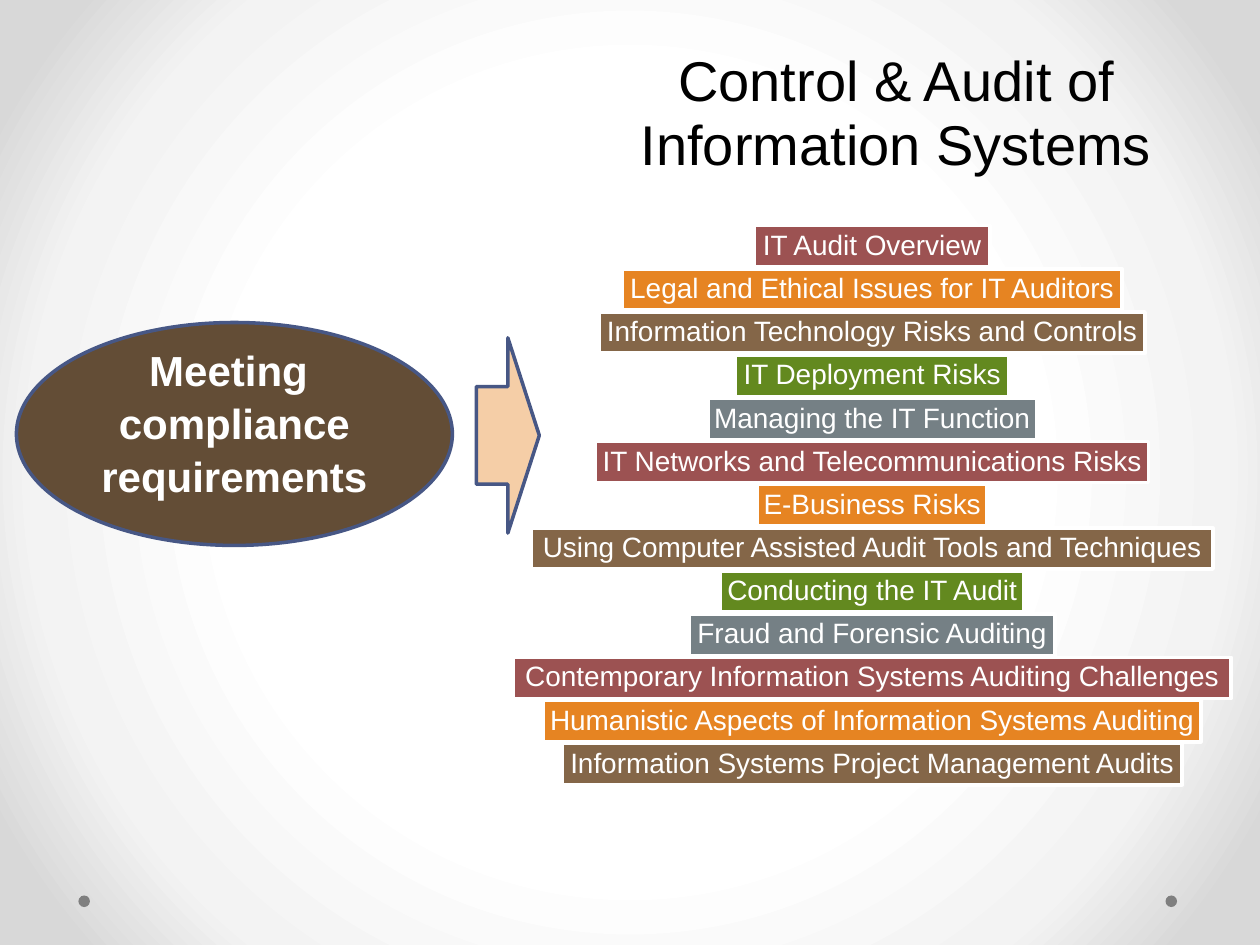
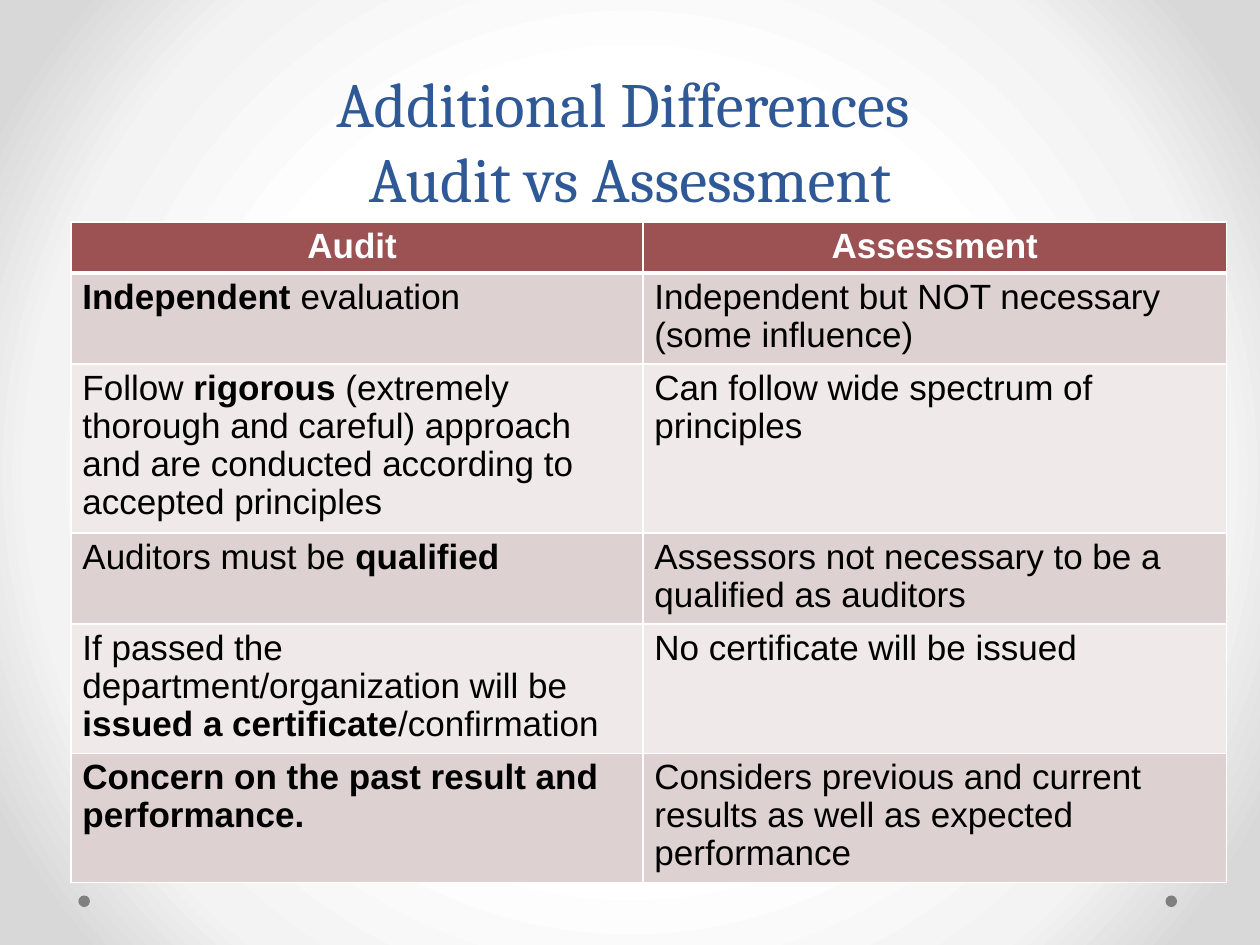
from dataclasses import dataclass
from typing import NamedTuple

from pptx import Presentation
from pptx.dml.color import RGBColor
from pptx.enum.shapes import MSO_SHAPE
from pptx.enum.text import MSO_ANCHOR, MSO_AUTO_SIZE, PP_ALIGN
from pptx.oxml import parse_xml
from pptx.oxml.ns import nsdecls
from pptx.util import Pt

CENTER, LEFT = PP_ALIGN.CENTER, PP_ALIGN.LEFT
MIDDLE, BOTTOM = MSO_ANCHOR.MIDDLE, MSO_ANCHOR.BOTTOM
ELLIPSE, RECTANGLE = MSO_SHAPE.OVAL, MSO_SHAPE.RECTANGLE
RIGHT_ARROW = MSO_SHAPE.RIGHT_ARROW
TITLE_ONLY = 5


@dataclass(frozen=True)
class Theme:
    sans: str = "Arial"
    serif: str = "Cambria"
    black: RGBColor = RGBColor(0x00, 0x00, 0x00)
    white: RGBColor = RGBColor(0xFF, 0xFF, 0xFF)
    blue: RGBColor = RGBColor(0x2F, 0x58, 0x97)
    outline: RGBColor = RGBColor(0x47, 0x57, 0x85)
    dot: RGBColor = RGBColor(0x7F, 0x7F, 0x7F)
    goal: RGBColor = RGBColor(0x63, 0x4D, 0x36)
    arrow: RGBColor = RGBColor(0xF5, 0xCE, 0xA7)
    red: RGBColor = RGBColor(0x9C, 0x52, 0x52)
    orange: RGBColor = RGBColor(0xE6, 0x84, 0x22)
    brown: RGBColor = RGBColor(0x84, 0x66, 0x48)
    green: RGBColor = RGBColor(0x63, 0x89, 0x1F)
    grey: RGBColor = RGBColor(0x75, 0x80, 0x85)
    dark_band: RGBColor = RGBColor(0xDE, 0xD1, 0xD1)
    light_band: RGBColor = RGBColor(0xEF, 0xE9, 0xE9)
    topic_size: float = 16
    table_size: float = 20
    goal_size: float = 24
    overview_title_size: float = 32
    title_size: float = 36


THEME = Theme()
TOPIC_COLORS = (THEME.red, THEME.orange, THEME.brown, THEME.green, THEME.grey)
BACKGROUND_STOPS = ((0, "FFFFFF"), (50, "FFFFFF"), (76, "F3F3F3"),
                    (92, "D8D8D8"), (100, "D8D8D8"))


class Box(NamedTuple):
    left: float
    top: float
    width: float
    height: float


class Style(NamedTuple):
    font: str
    size: float
    color: RGBColor
    bold: bool = False
    align: PP_ALIGN = CENTER
    spacing: float = 1.0


class Topic(NamedTuple):
    text: str
    width: float


class Comparison(NamedTuple):
    audit: str
    assessment: str
    height: float


TOPICS = (
    Topic("IT Audit Overview", 134.6),
    Topic("Legal and Ethical Issues for IT Auditors", 285.8),
    Topic("Information Technology Risks and Controls", 311.8),
    Topic("IT Deployment Risks", 156.2),
    Topic("Managing the IT Function", 187.9),
    Topic("IT Networks and Telecommunications Risks", 316.1),
    Topic("E-Business Risks", 131),
    Topic("Using Computer Assisted Audit Tools and Techniques", 389.5),
    Topic("Conducting the IT Audit", 173.5),
    Topic("Fraud and Forensic Auditing", 208.8),
    Topic("Contemporary Information Systems Auditing Challenges", 410.4),
    Topic("Humanistic Aspects of Information Systems Auditing", 375.8),
    Topic("Information Systems Project Management Audits", 354.2),
)
TOPIC_CENTER, TOPIC_TOP, TOPIC_PITCH, TOPIC_HEIGHT = 498.4, 128.9, 24.67, 23.6

# Text between double asterisks is bold.
COMPARISONS = (
    Comparison("**Audit **", "**Assessment**", 29.2),
    Comparison("**Independent** evaluation",
               "Independent but NOT necessary (some influence)", 52),
    Comparison("Follow **rigorous** (extremely thorough and careful) approach "
               "and are conducted according to accepted principles",
               "Can follow wide spectrum of principles ", 96.5),
    Comparison("Auditors must be **qualified**",
               "Assessors not necessary to be a qualified as auditors", 52),
    Comparison("If passed the department/organization will be "
               "**issued a certificate**/confirmation",
               "No certificate will be issued", 74),
    Comparison("**Concern on the past result and performance.**",
               "Considers previous and current results as well as expected "
               "performance", 74),
)
COLUMN_WIDTHS = (326.9, 333.4)


def place(shape, box: Box) -> None:
    shape.left, shape.top, shape.width, shape.height = map(Pt, box)


def format_paragraph(paragraph, style: Style) -> None:
    paragraph.alignment = style.align
    paragraph.line_spacing = style.spacing
    for run in paragraph.runs:
        run.font.name = style.font
        run.font.size = Pt(style.size)
        run.font.color.rgb = style.color
        run.font.bold = style.bold


def set_margins(frame, left: float, top: float, right: float, bottom: float) -> None:
    frame.margin_left, frame.margin_top = Pt(left), Pt(top)
    frame.margin_right, frame.margin_bottom = Pt(right), Pt(bottom)


def add_filled(slide, kind: MSO_SHAPE, box: Box, fill: RGBColor,
               line: RGBColor | None = None):
    shape = slide.shapes.add_shape(kind, *map(Pt, box))
    shape.shadow.inherit = False
    shape.fill.solid()
    shape.fill.fore_color.rgb = fill
    if line is None:
        shape.line.fill.background()
    else:
        shape.line.color.rgb = line
        shape.line.width = Pt(2)
    return shape


def set_title(slide, text: str, box: Box, style: Style, anchor: MSO_ANCHOR,
              margins: tuple[float, float, float, float]) -> None:
    title = slide.shapes.title
    place(title, box)
    frame = title.text_frame
    frame.auto_size = MSO_AUTO_SIZE.NONE
    frame.word_wrap = True
    frame.vertical_anchor = anchor
    set_margins(frame, *margins)
    frame.paragraphs[0].text = text
    format_paragraph(frame.paragraphs[0], style)


def set_master_background(master) -> None:
    """Give every slide the radial white-to-grey gradient."""
    master.background.fill.solid()
    stops = "".join(
        f'<a:gs pos="{position * 1000}"><a:srgbClr val="{color}"/></a:gs>'
        for position, color in BACKGROUND_STOPS)
    gradient = parse_xml(
        f'<a:gradFill {nsdecls("a")} rotWithShape="1"><a:gsLst>{stops}</a:gsLst>'
        '<a:path path="circle">'
        '<a:fillToRect l="50000" t="50000" r="50000" b="50000"/>'
        '</a:path></a:gradFill>')
    plain = master.element.xpath("./p:cSld/p:bg/p:bgPr/a:solidFill")[0]
    plain.getparent().replace(plain, gradient)


def add_master_dots(master, slide) -> None:
    """Draw the footer dots on a slide, then move them to the master."""
    for number, left in enumerate((44.8, 666)):
        dot = add_filled(slide, ELLIPSE, Box(left, 511.7, 6.6, 6.6), THEME.dot)
        dot.element.nvSpPr.cNvPr.id = 100 + number
        master.element.cSld.spTree.append(dot.element)


def build_overview(slide) -> None:
    set_title(slide, "Control & Audit of Information Systems",
              Box(342.7, 9.4, 324, 111.6),
              Style(THEME.sans, THEME.overview_title_size, THEME.black, spacing=0.96),
              MIDDLE, (18, 3, 3, 3))

    goal = add_filled(slide, ELLIPSE, Box(9.4, 184.3, 249.1, 127.4),
                      THEME.goal, THEME.outline)
    frame = goal.text_frame
    frame.word_wrap = True
    frame.vertical_anchor = MIDDLE
    set_margins(frame, 7.2, 3.6, 7.2, 18)
    frame.text = "Meeting \ncompliance requirements"
    for paragraph in frame.paragraphs:
        format_paragraph(paragraph, Style(THEME.sans, THEME.goal_size, THEME.white,
                                          bold=True, spacing=1.05))

    add_filled(slide, RIGHT_ARROW, Box(272.2, 193, 36, 111.6),
               THEME.arrow, THEME.outline)

    topic_style = Style(THEME.sans, THEME.topic_size, THEME.white, spacing=0.9)
    for index, topic in enumerate(TOPICS):
        box = Box(TOPIC_CENTER - topic.width / 2, TOPIC_TOP + index * TOPIC_PITCH,
                  topic.width, TOPIC_HEIGHT)
        bar = add_filled(slide, RECTANGLE, box,
                         TOPIC_COLORS[index % len(TOPIC_COLORS)], THEME.white)
        frame = bar.text_frame
        frame.word_wrap = False
        frame.vertical_anchor = MIDDLE
        set_margins(frame, 3, 3, 3, 3)
        frame.text = topic.text
        format_paragraph(frame.paragraphs[0], topic_style)


def add_borders(cell, top: float, bottom: float) -> None:
    properties = cell._tc.get_or_add_tcPr()
    for side, width in (("L", 1), ("R", 1), ("T", top), ("B", bottom)):
        properties.append(parse_xml(
            f'<a:ln{side} {nsdecls("a")} w="{Pt(width)}"><a:solidFill>'
            f'<a:srgbClr val="{THEME.white}"/></a:solidFill></a:ln{side}>'))


def fill_cell(cell, text: str, row: int) -> None:
    is_header = row == 0
    add_borders(cell, top=3 if row == 1 else 1, bottom=3 if is_header else 1)
    cell.fill.solid()
    band = THEME.dark_band if row % 2 else THEME.light_band
    cell.fill.fore_color.rgb = THEME.red if is_header else band
    set_margins(cell, 6.5, 3.6, 6.5, 3.6)
    paragraph = cell.text_frame.paragraphs[0]
    bold_runs = []
    for index, part in enumerate(text.split("**")):
        if part:
            run = paragraph.add_run()
            run.text = part
            if index % 2:
                bold_runs.append(run)
    format_paragraph(paragraph, Style(
        THEME.sans, THEME.table_size, THEME.white if is_header else THEME.black,
        align=CENTER if is_header else LEFT, spacing=0.97))
    for run in bold_runs:
        run.font.bold = True


def build_comparison(slide) -> None:
    set_title(slide, "Additional Differences \vAudit vs Assessment",
              Box(-17.3, 0.7, 754.6, 126),
              Style(THEME.serif, THEME.title_size, THEME.blue),
              BOTTOM, (7.2, 3.6, 7.2, 3.6))
    heights = [comparison.height for comparison in COMPARISONS]
    box = Box(40.6, 126.8, sum(COLUMN_WIDTHS), sum(heights))
    table = slide.shapes.add_table(len(COMPARISONS), len(COLUMN_WIDTHS),
                                   *map(Pt, box)).table
    for column, width in zip(table.columns, COLUMN_WIDTHS):
        column.width = Pt(width)
    for row, comparison in enumerate(COMPARISONS):
        table.rows[row].height = Pt(comparison.height)
        for column, text in enumerate((comparison.audit, comparison.assessment)):
            fill_cell(table.cell(row, column), text, row)


def main() -> None:
    deck = Presentation()
    deck.slide_width, deck.slide_height = Pt(720), Pt(540)
    layout = deck.slide_layouts[TITLE_ONLY]
    overview, comparison = (deck.slides.add_slide(layout) for _ in range(2))
    set_master_background(deck.slide_master)
    add_master_dots(deck.slide_master, overview)
    build_overview(overview)
    build_comparison(comparison)
    deck.save("out.pptx")


if __name__ == "__main__":
    main()
